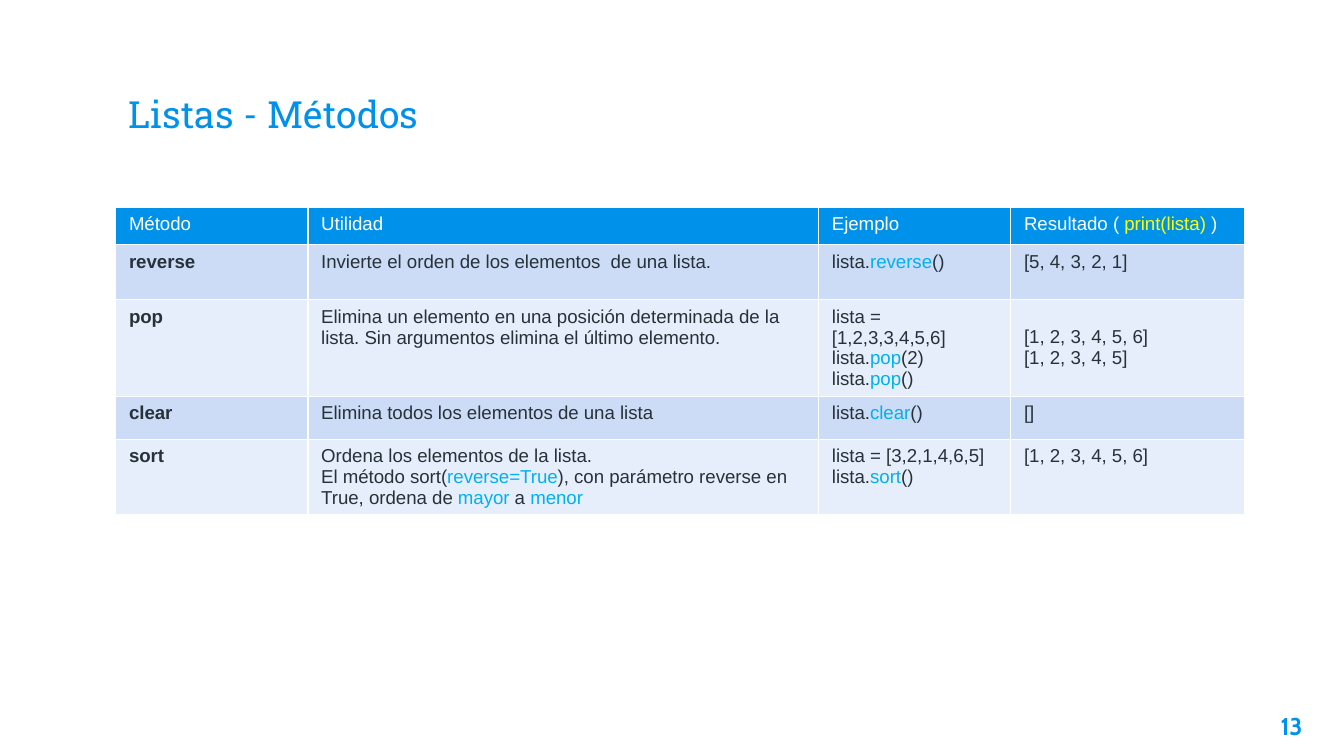
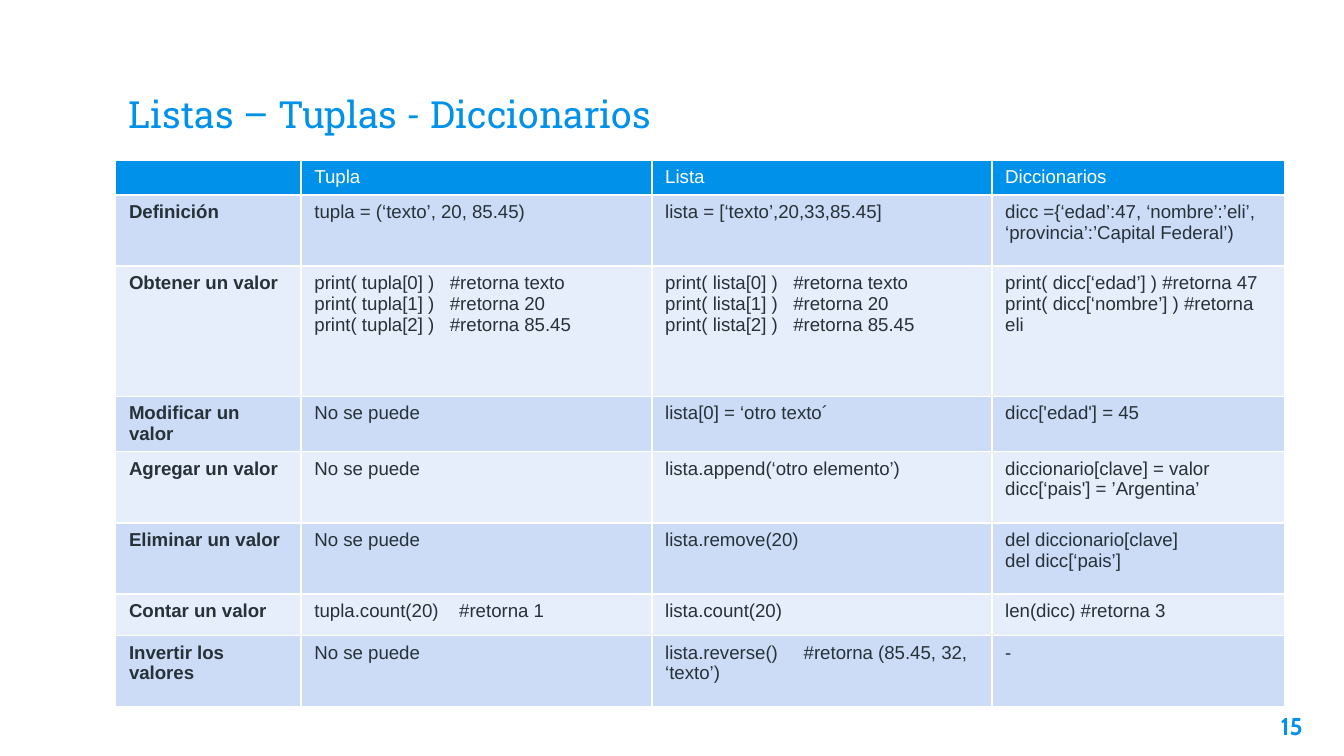
from dataclasses import dataclass

from lxml.etree import SubElement
from pptx import Presentation
from pptx.dml.color import RGBColor as Rgb
from pptx.enum.text import MSO_ANCHOR as Anchor, PP_ALIGN as Align
from pptx.oxml.ns import qn
from pptx.util import Inches, Pt

HUES = {
    "blue": "0091EA",
    "white": "FFFFFF",
    "ink": "263238",
    "code": "00B0F0",
    "yellow": "FFFF00",
    "odd": "CCDCF7",
    "even": "E7EEFB",
}
LEFT = 0.86
LINE = 0.15


@dataclass
class Grid:
    top: float
    cols: list[float]
    rows: list[float]
    cells: list[list[str]]


@dataclass
class Page:
    title: str
    number: int
    grid: Grid


def write(frame, text: str, *, size: float, font: str, hue: str,
          mark: str = "code", bold: bool = False, align=None) -> None:
    """Fill a frame, one paragraph a line; words in backticks take the mark hue."""
    frame.word_wrap = True
    for i, line in enumerate(text.split("\n")):
        para = frame.paragraphs[0] if i == 0 else frame.add_paragraph()
        para.alignment = align
        if not line:
            SubElement(para._p, qn("a:endParaRPr"), sz=str(int(size * 100)))
        for j, part in enumerate(line.split("`")):
            if not part:
                continue
            run = para.add_run()
            run.text = part
            run.font.size = Pt(size)
            run.font.name = font
            run.font.bold = bold
            run.font.color.rgb = Rgb.from_string(HUES[mark if j % 2 else hue])


def add_box(slide, text: str, x: float, y: float, w: float, h: float,
            anchor=Anchor.TOP, **style) -> None:
    frame = slide.shapes.add_textbox(
        Inches(x), Inches(y), Inches(w), Inches(h)).text_frame
    frame.margin_left = frame.margin_right = Inches(0.1)
    frame.margin_top = frame.margin_bottom = Inches(0.1)
    frame.vertical_anchor = anchor
    write(frame, text, **style)


def add_grid(slide, grid: Grid) -> None:
    """Draw a table; its white rules come from the default table style."""
    table = slide.shapes.add_table(
        len(grid.rows), len(grid.cols), Inches(LEFT), Inches(grid.top),
        Inches(sum(grid.cols)), Inches(sum(grid.rows))).table
    for col, width in zip(table.columns, grid.cols):
        col.width = Inches(width)
    for row, height in zip(table.rows, grid.rows):
        row.height = Inches(height)
    for r, texts in enumerate(grid.cells):
        head = r == 0
        back = "blue" if head else "odd" if r % 2 else "even"
        for c, text in enumerate(texts):
            cell = table.cell(r, c)
            cell.fill.solid()
            cell.fill.fore_color.rgb = Rgb.from_string(HUES[back])
            # Leading line breaks lower the text to line up with its neighbour.
            body = text.lstrip("\n")
            cell.margin_top = Inches(0.05 + LINE * (len(text) - len(body)))
            cell.margin_bottom = 0
            write(cell.text_frame, body, size=10, font="Arial",
                  hue="white" if head else "ink",
                  mark="yellow" if head else "code",
                  bold=not head and c == 0)


def add_page(deck, page: Page) -> None:
    slide = deck.slides.add_slide(deck.slide_layouts[6])
    add_box(slide, page.title, LEFT, 0.34, 8.28, 0.77, Anchor.BOTTOM,
            size=20, font="Roboto Slab", hue="blue")
    add_box(slide, str(page.number), 9.19, 5.19, 0.6, 0.43,
            size=13, font="Cabin", hue="blue", bold=True, align=Align.RIGHT)
    add_grid(slide, page.grid)


METHODS = Grid(1.54, [1.43, 3.8, 1.43, 1.74], [0.28, 0.41, 0.72, 0.32, 0.56], [
    ["Método", "Utilidad", "Ejemplo", "Resultado ( `print(lista)` )"],
    ["reverse", "Invierte el orden de los elementos  de una lista.",
     "lista.`reverse`()", "[5, 4, 3, 2, 1]"],
    ["pop",
     "Elimina un elemento en una posición determinada de la lista. "
     "Sin argumentos elimina el último elemento.",
     "lista = [1,2,3,3,4,5,6]\nlista.`pop`(2)\nlista.`pop`()",
     "\n[1, 2, 3, 4, 5, 6]\n[1, 2, 3, 4, 5]"],
    ["clear", "Elimina todos los elementos de una lista",
     "lista.`clear`()", "[]"],
    ["sort",
     "Ordena los elementos de la lista.\n"
     "El método sort(`reverse=True`), con parámetro reverse en True, "
     "ordena de `mayor` a `menor`",
     "lista = [3,2,1,4,6,5]\nlista.`sort`()", "[1, 2, 3, 4, 5, 6]"],
])

TYPES = Grid(1.19, [1.38, 2.61, 2.53, 2.18],
             [0.26, 0.53, 0.97, 0.41, 0.53, 0.53, 0.31, 0.53], [
    ["", "Tupla", "Lista", "Diccionarios"],
    ["Definición", "tupla = (‘texto’, 20, 85.45)",
     "lista = [‘texto’,20,33,85.45]",
     "dicc ={‘edad’:47, ‘nombre’:’eli’, ‘provincia’:’Capital Federal’)"],
    ["Obtener un valor",
     *("\n".join(f"print( {name}[{i}] )   #retorna {value}"
                 for i, value in enumerate(["texto", "20", "85.45"]))
       for name in ("tupla", "lista")),
     "print( dicc[‘edad’] ) #retorna 47\n"
     "print( dicc[‘nombre’] ) #retorna eli"],
    ["Modificar un valor", "No se puede", "lista[0] = ‘otro texto´",
     "dicc['edad'] = 45"],
    ["Agregar un valor", "No se puede", "lista.append(‘otro elemento’)",
     "diccionario[clave] = valor\ndicc[‘pais'] = ’Argentina’"],
    ["Eliminar un valor", "No se puede", "lista.remove(20)",
     "del diccionario[clave]\ndel dicc[‘pais’]"],
    ["Contar un valor", "tupla.count(20)    #retorna 1", "lista.count(20)",
     "len(dicc) #retorna 3"],
    ["Invertir los valores", "No se puede",
     "lista.reverse()     #retorna (85.45, 32, ‘texto’)", "-"],
])

PAGES = [
    Page("Listas - Métodos", 13, METHODS),
    Page("Listas – Tuplas - Diccionarios", 15, TYPES),
]


def main() -> None:
    deck = Presentation()
    deck.slide_width = Inches(10)
    deck.slide_height = deck.slide_width * 9 // 16
    for page in PAGES:
        add_page(deck, page)
    deck.save("out.pptx")


if __name__ == "__main__":
    main()
